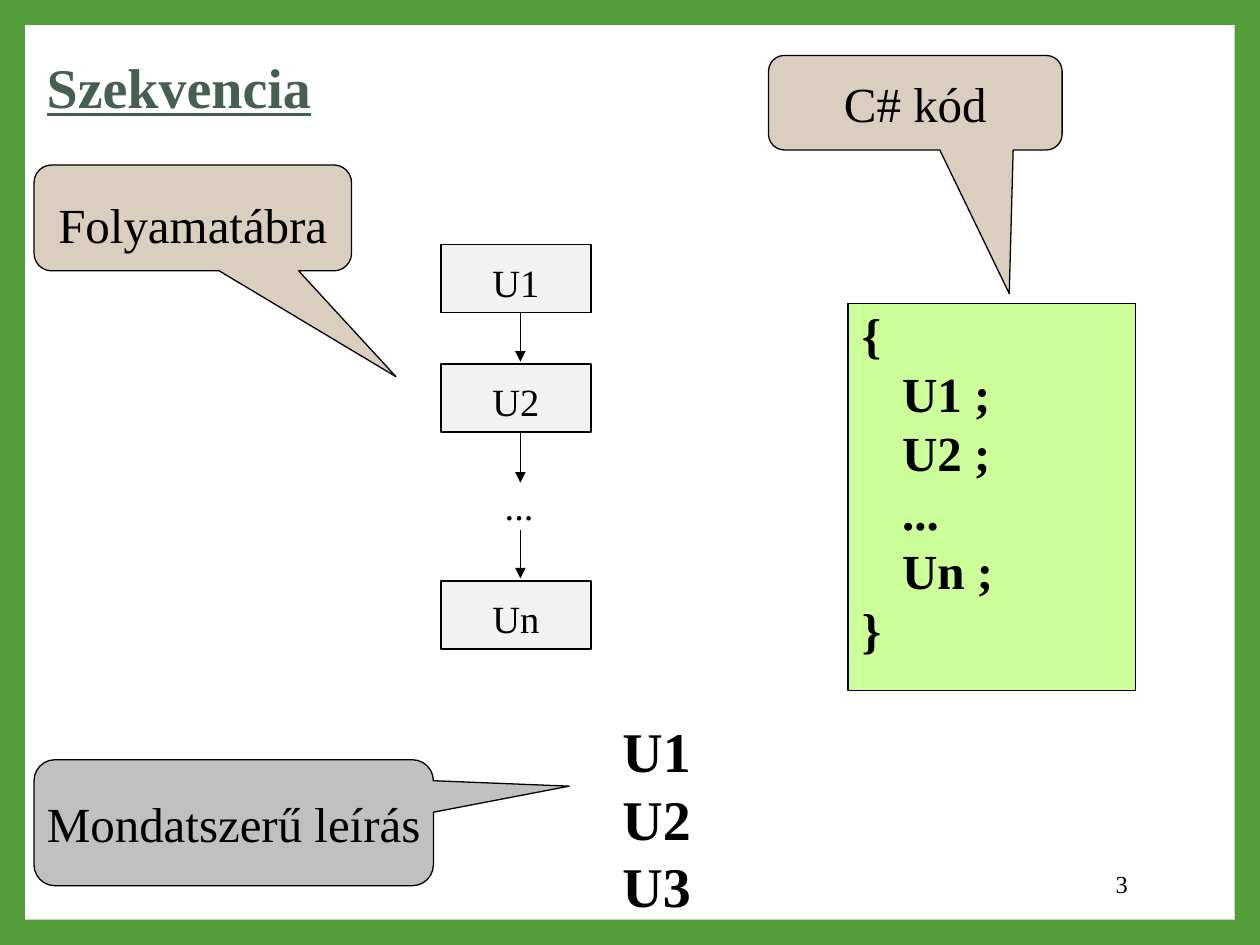
from dataclasses import dataclass

from lxml import etree
from pptx import Presentation
from pptx.dml.color import RGBColor
from pptx.enum.shapes import MSO_CONNECTOR, MSO_SHAPE
from pptx.enum.text import MSO_ANCHOR, MSO_AUTO_SIZE, PP_ALIGN
from pptx.oxml.ns import qn
from pptx.util import Emu, Inches, Pt

RECT = MSO_SHAPE.RECTANGLE
CALLOUT = MSO_SHAPE.ROUNDED_RECTANGULAR_CALLOUT
STRAIGHT = MSO_CONNECTOR.STRAIGHT
TOP, MIDDLE = MSO_ANCHOR.TOP, MSO_ANCHOR.MIDDLE
LEFT, CENTER, RIGHT = PP_ALIGN.LEFT, PP_ALIGN.CENTER, PP_ALIGN.RIGHT

FONT = "Times New Roman"
GREEN = RGBColor(0x54, 0x9E, 0x39)
WHITE = RGBColor(0xFF, 0xFF, 0xFF)
BLACK = RGBColor(0x00, 0x00, 0x00)
SLATE = RGBColor(0x45, 0x5F, 0x51)
LIME = RGBColor(0xCC, 0xFF, 0x99)
SAND = RGBColor(0xDA, 0xCF, 0xBE)
SILVER = RGBColor(0xC0, 0xC0, 0xC0)
PALE = RGBColor(0xF2, 0xF2, 0xF2)

# Grid of 100 columns by 75 rows of square cells
CELL = Inches(10) // 100


@dataclass
class Box:
    col: float
    row: float
    cols: float
    rows: float


@dataclass
class Callout:
    text: str
    box: Box
    fill: RGBColor
    tip: tuple[float, float]
    spacing: float = 1.0


def grid(cells: float) -> Emu:
    return Emu(round(cells * CELL))


def place(sp, box: Box) -> None:
    sp.left, sp.top = grid(box.col), grid(box.row)
    sp.width, sp.height = grid(box.cols), grid(box.rows)


def set_insets(tf, side: float, top: float) -> None:
    tf.margin_left = tf.margin_right = tf.margin_bottom = Inches(side)
    tf.margin_top = Inches(top)


def write(p, text: str, size: float, color=BLACK, bold=False,
          align=CENTER, spacing=1.0) -> None:
    p.alignment = align
    p.line_spacing = spacing
    p.space_before = Pt(0)
    r = p.add_run()
    r.text = text
    r.font.name, r.font.size, r.font.bold = FONT, Pt(size), bold
    r.font.color.rgb = color


def add_shape(s, kind, box: Box, fill: RGBColor, line_pt: float = 0):
    sp = s.shapes.add_shape(kind, *map(grid, (box.col, box.row, box.cols, box.rows)))
    sp.shadow.inherit = False
    sp.fill.solid()
    sp.fill.fore_color.rgb = fill
    if line_pt:
        sp.line.color.rgb = BLACK
        sp.line.width = Pt(line_pt)
    else:
        sp.line.fill.background()
    return sp


def add_text(s, box: Box):
    sp = s.shapes.add_textbox(*map(grid, (box.col, box.row, box.cols, box.rows)))
    sp.text_frame.word_wrap = True
    return sp.text_frame


def add_callout(s, c: Callout) -> None:
    sp = add_shape(s, CALLOUT, c.box, c.fill, 0.75)
    sp.adjustments[0], sp.adjustments[1] = c.tip
    tf = sp.text_frame
    tf.word_wrap = False
    tf.vertical_anchor = MIDDLE
    write(tf.paragraphs[0], c.text, 28, spacing=c.spacing)


def add_arrow(s, col: float, start: float, end: float) -> None:
    cx = s.shapes.add_connector(STRAIGHT, grid(col), grid(start), grid(col), grid(end))
    cx.line.color.rgb = BLACK
    cx.line.width = Pt(1)
    etree.SubElement(cx.line._get_or_add_ln(), qn("a:tailEnd"), type="triangle")
    etree.SubElement(cx._element.spPr, qn("a:effectLst"))


def add_step(s, text: str, row: float) -> None:
    tf = add_shape(s, RECT, Box(35, row, 11.9, 5.4), PALE, 1).text_frame
    set_insets(tf, 0.01, 0.04)
    tf.vertical_anchor = TOP
    write(tf.paragraphs[0], text, 22, spacing=1.2)


def add_code(s, lines: list[tuple[str, float]], box: Box) -> None:
    tf = add_shape(s, RECT, box, LIME, 0.75).text_frame
    set_insets(tf, 0.01, 0.01)
    tf.vertical_anchor = TOP
    for i, (text, indent) in enumerate(lines):
        p = tf.add_paragraph() if i else tf.paragraphs[0]
        p._p.get_or_add_pPr().set("marL", str(Inches(indent)))
        write(p, text, 28, bold=True, align=LEFT)


def fill_list(sp, items: list[str], box: Box) -> None:
    place(sp, box)
    tf = sp.text_frame
    tf.auto_size = MSO_AUTO_SIZE.NONE
    for i, text in enumerate(items):
        p = tf.add_paragraph() if i else tf.paragraphs[0]
        pPr = p._p.get_or_add_pPr()
        pPr.set("marL", "0")
        pPr.set("indent", "0")
        etree.SubElement(pPr, qn("a:buNone"))
        write(p, text, 32, bold=True, align=LEFT)


def main() -> None:
    prs = Presentation()
    prs.slide_width, prs.slide_height = grid(100), grid(75)
    s = prs.slides.add_slide(prs.slide_layouts[1])
    title, body = s.placeholders

    # Green frame around a white panel, behind everything else
    s.background.fill.solid()
    s.background.fill.fore_color.rgb = GREEN
    panel = add_shape(s, RECT, Box(2, 2, 96, 71), WHITE)
    s.shapes._spTree.insert(2, panel._element)

    # Title and slide number
    place(title, Box(2.7, 2.1, 36.9, 9.4))
    title.text_frame.vertical_anchor = MIDDLE
    title.text_frame.auto_size = MSO_AUTO_SIZE.NONE
    p = title.text_frame.paragraphs[0]
    write(p, "Szekvencia", 32, SLATE, True, LEFT)
    p.runs[0].font.underline = True
    tf = add_text(s, Box(76.5, 68.1, 14, 4))
    tf.vertical_anchor = MIDDLE
    write(tf.paragraphs[0], "3", 14, align=RIGHT)

    # C# code
    steps = [(t, 0.42) for t in ("U1 ;", "U2 ;", "...", "Un ;")]
    add_code(s, [("{", 0.1), *steps, ("}", 0.1)], Box(67.3, 24.1, 22.8, 30.7))

    # Flowchart: arrows first, so the steps cover their starts
    for start, end in ((23, 28.7), (32.6, 38.3), (42.1, 45.9)):
        add_arrow(s, 41.3, start, end)
    for text, row in (("U1", 19.4), ("U2", 28.9), ("Un", 46.1)):
        add_step(s, text, row)
    tf = add_text(s, Box(36.7, 37.4, 9, 3.6))
    set_insets(tf, 0.01, 0.01)
    write(tf.paragraphs[0], "...", 22, spacing=1.2)

    # Callouts naming the three notations
    for c in (
        Callout("C# kód", Box(61, 4.4, 23.3, 7.5), SAND, (0.32, 2.02)),
        Callout("Folyamatábra", Box(2.7, 13.1, 25.2, 8.4), SAND, (0.64, 1.5), 1.2),
        Callout("Mondatszerű leírás", Box(2.7, 60.3, 31.7, 10), SILVER, (0.84, -0.29)),
    ):
        add_callout(s, c)

    # Pseudocode
    fill_list(body, ["U1", "U2", "U3"], Box(48.4, 56.4, 13.4, 17))

    prs.save("out.pptx")


if __name__ == "__main__":
    main()
